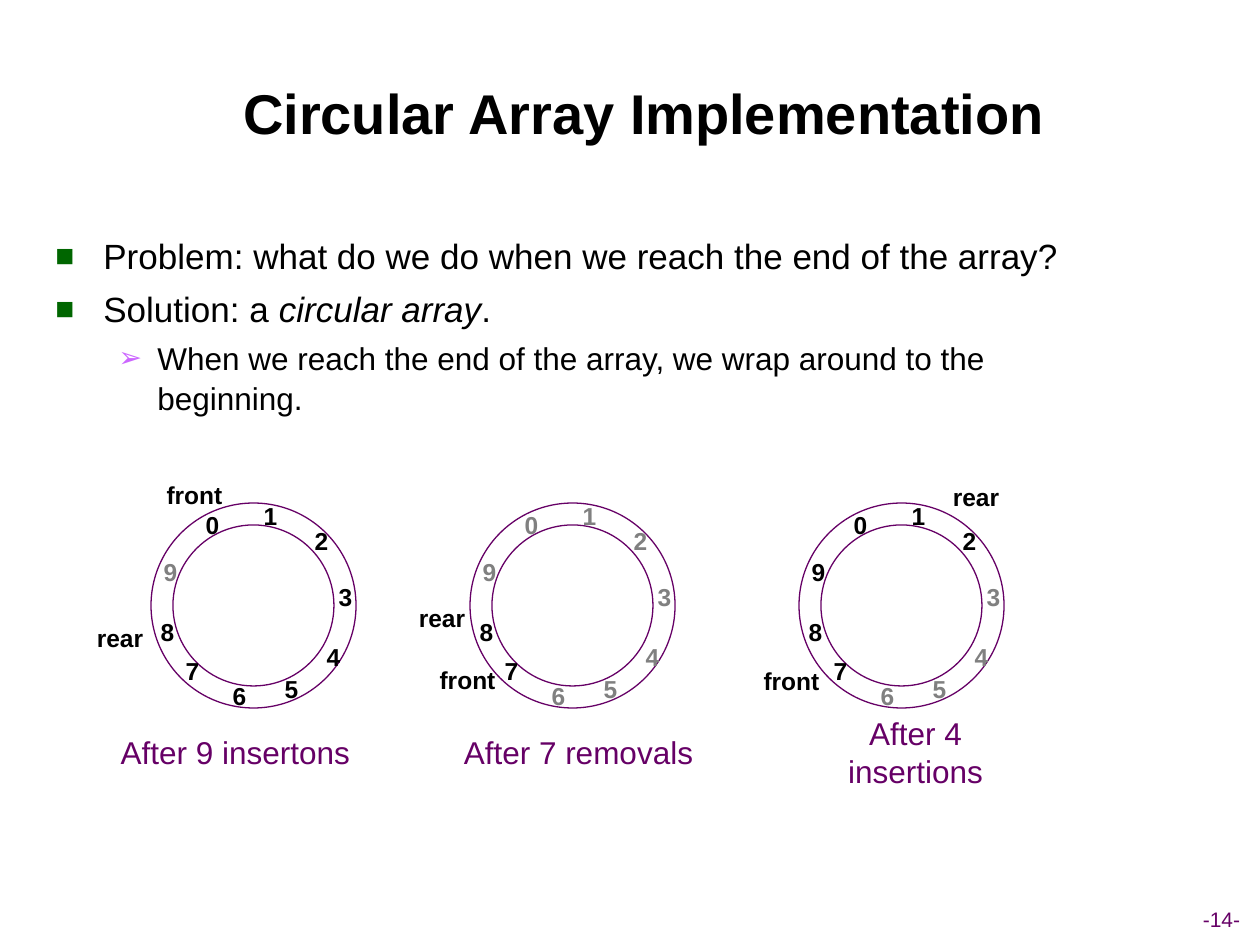
"""Build the slide on the circular array implementation."""
from lxml import etree
from pptx import Presentation
from pptx.dml.color import RGBColor
from pptx.enum.shapes import MSO_SHAPE
from pptx.enum.text import MSO_ANCHOR, MSO_AUTO_SIZE, PP_ALIGN
from pptx.oxml.ns import qn
from pptx.util import Emu, Pt

OVAL = MSO_SHAPE.OVAL
TOP, MIDDLE = MSO_ANCHOR.TOP, MSO_ANCHOR.MIDDLE
GROW = MSO_AUTO_SIZE.SHAPE_TO_FIT_TEXT
CENTER = PP_ALIGN.CENTER
SCALE = 914400 / 126
FONT = "Arial"
COLORS = {"ink": "000000", "plum": "660066", "gray": "808080",
          "green": "006600", "violet": "CC66FF"}


def add_run(para, text, size, color="ink", bold=False, italic=False):
    run = para.add_run()
    run.text = text
    font = run.font
    font.name, font.size = FONT, Pt(size)
    font.bold, font.italic = bold, italic
    font.color.rgb = RGBColor.from_string(COLORS[color])


def add_label(shapes, box, text, size, color="ink", bold=False, anchor=TOP):
    frame = shapes.add_textbox(*[Emu(round(n * SCALE)) for n in box]).text_frame
    frame.word_wrap = False
    frame.auto_size = GROW
    frame.vertical_anchor = anchor
    para = frame.paragraphs[0]
    para.alignment = CENTER
    add_run(para, text, size, color, bold)


deck = Presentation()
deck.slide_width, deck.slide_height = Emu(round(1260 * SCALE)), Emu(round(945 * SCALE))
slide = deck.slides.add_slide(deck.slide_layouts[6])

add_label(slide.shapes, (1183, 900, 77, 38), "-14-", 12, "plum", anchor=MIDDLE)

box = (60, 52, 1168, 120)
title = slide.shapes.add_textbox(*[Emu(round(n * SCALE)) for n in box]).text_frame
title.word_wrap = True
title.vertical_anchor = MIDDLE
title.paragraphs[0].alignment = CENTER
add_run(title.paragraphs[0], "Circular Array Implementation", 32, bold=True)

box = (43, 226, 1056, 231)
body = slide.shapes.add_textbox(*[Emu(round(n * SCALE)) for n in box]).text_frame
body.word_wrap = True
points = [
    (0, [("Problem: what do we do when we reach the end of the array?", False)]),
    (0, [("Solution: a ", False), ("circular array", True), (".", False)]),
    (1, [("When we reach the end of the array, we wrap around to the beginning.", False)]),
]
styles = [
    (20, 5, 48, -48, "■", "green"),
    (18, 4.5, 102, -39, "➢", "violet"),
]
for row, (level, runs) in enumerate(points):
    size, space, left, hang, mark, color = styles[level]
    para = body.paragraphs[0] if row == 0 else body.add_paragraph()
    para.level = level
    para.line_spacing = 1.05
    para.space_before = Pt(space)
    props = para._p.get_or_add_pPr()
    props.set("marL", str(round(left * SCALE)))
    props.set("indent", str(round(hang * SCALE)))
    tint = etree.SubElement(props, qn("a:buClr"))
    etree.SubElement(tint, qn("a:srgbClr"), val=COLORS[color])
    etree.SubElement(props, qn("a:buSzPct"), val="90000")
    etree.SubElement(props, qn("a:buFont"), typeface=FONT)
    etree.SubElement(props, qn("a:buChar"), char=mark)
    for text, italic in runs:
        add_run(para, text, size, italic=italic)

slots = [(42, 504), (100, 495), (151, 520), (175, 576), (163, 636),
         (121, 668), (69, 675), (22, 650), (-3, 611), (0, 551)]
stages = [
    (151, "012345678", (154, 474), (84, 617), "After 9 insertons", 108, 255),
    (470, "78", (427, 659), (406, 597), "After 7 removals", 451, 255),
    (799, "012789", (751, 660), (940, 476), "After 4 insertions", 785, 261),
]
for left, live, front, rear, caption, start, width in stages:
    shapes = slide.shapes.add_group_shape().shapes
    for inset in (22, 0):
        side = 205 - 2 * inset
        box = (left + inset, 503 + inset, side, side)
        ring = shapes.add_shape(OVAL, *[Emu(round(n * SCALE)) for n in box])
        ring.shadow.inherit = False
        ring.fill.background()
        ring.line.color.rgb = RGBColor.from_string(COLORS["plum"])
        ring.line.width = Pt(0.75)
    for digit, (x, y) in enumerate(slots):
        color = "ink" if str(digit) in live else "gray"
        add_label(shapes, (left + x, y, 39, 43), str(digit), 14, color, True)
    add_label(shapes, (*front, 81, 43), "front", 14, bold=True)
    add_label(shapes, (*rear, 72, 43), "rear", 14, bold=True)
    add_label(shapes, (start, 727, width, 50), caption, 18, "plum", anchor=MIDDLE)

deck.save("out.pptx")
